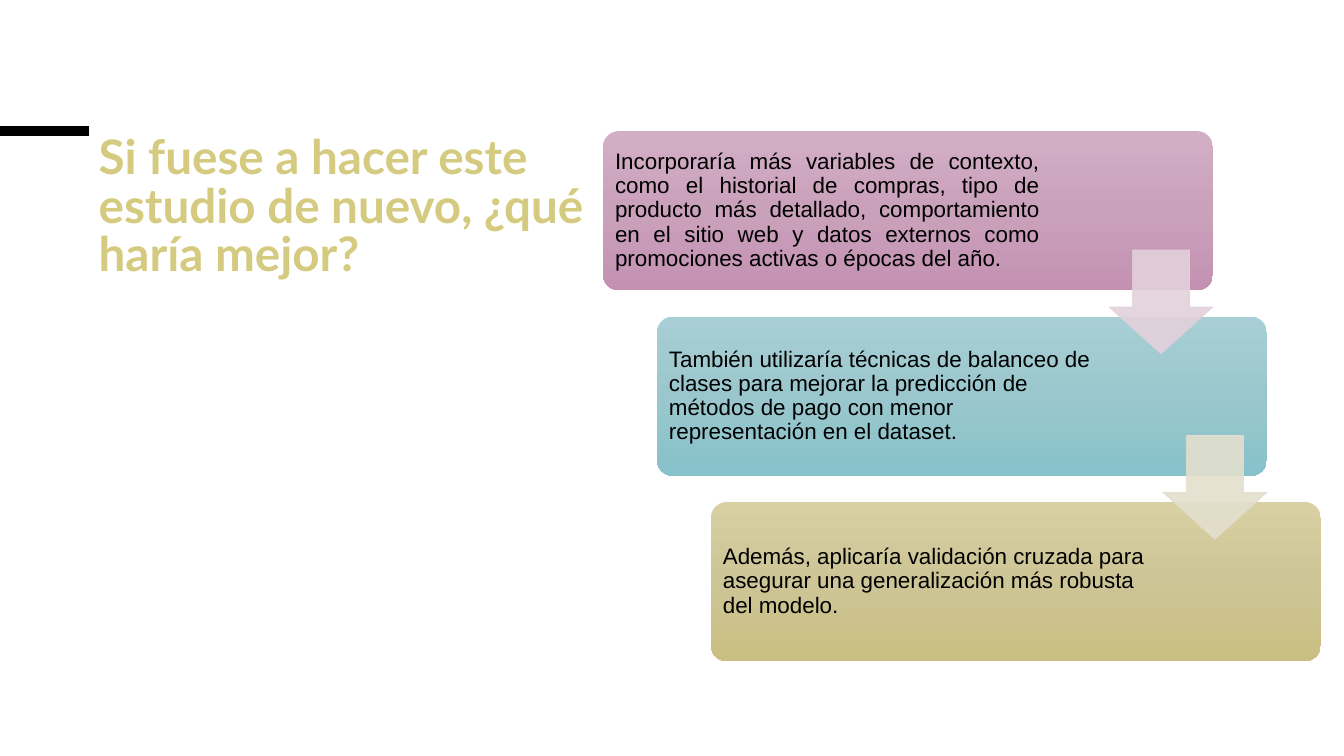
from copy import deepcopy

from lxml.etree import SubElement
from pptx import Presentation
from pptx.dml.color import RGBColor as RGB
from pptx.enum.shapes import MSO_CONNECTOR as LINK, MSO_SHAPE as SHAPE
from pptx.enum.text import MSO_ANCHOR as ANCHOR, PP_ALIGN as ALIGN
from pptx.oxml.ns import qn
from pptx.util import Inches, Pt

TITLE = "Si fuese a hacer este estudio de nuevo, ¿qué haría mejor?"
STEPS = [
    ("Incorporaría más variables de contexto, como el historial de compras, tipo de "
     "producto más detallado, comportamiento en el sitio web y datos externos como "
     "promociones activas o épocas del año.",
     ("D2AEC5", "CAA1BB", "C491B2"), ALIGN.JUSTIFY, 4.35),
    ("También utilizaría técnicas de balanceo de clases para mejorar la predicción de "
     "métodos de pago con menor representación en el dataset.",
     ("A7CFD5", "9AC7CD", "87C1C9"), ALIGN.LEFT, 4.4),
    ("Además, aplicaría validación cruzada para asegurar una generalización más "
     "robusta del modelo.",
     ("D8CFA2", "CDC596", "CABF82"), ALIGN.LEFT, 4.4),
]
ARROWS = ["E2D1DC", "E3DFCE"]


def rgb(code):
    """Turn a hex string into a colour."""
    return RGB.from_string(code)


def place(*box):
    """Turn a box in inches into lengths."""
    return [Inches(n) for n in box]


def write(slide, box, text, font, size, color, gap, inset=None):
    """Add a wrapped text box and return its frame."""
    frame = slide.shapes.add_textbox(*place(*box)).text_frame
    frame.word_wrap = True
    if inset is not None:
        frame.margin_left = frame.margin_right = Inches(inset)
        frame.margin_top = frame.margin_bottom = Inches(inset)
    para = frame.paragraphs[0]
    para.text = text
    para.line_spacing = gap
    para.font.name = font
    para.font.size = Pt(size)
    para.font.color.rgb = rgb(color)
    return frame


def shade(shape, colors):
    """Fill a shape from top to bottom with three evenly spaced colours."""
    fill = shape.fill
    fill.gradient()
    fill.gradient_angle = 270
    stops = shape._element.spPr.find(qn("a:gradFill")).find(qn("a:gsLst"))
    stops.insert(1, deepcopy(stops[0]))
    for i, (stop, color) in enumerate(zip(fill.gradient_stops, colors)):
        stop.position = i / 2
        stop.color.rgb = rgb(color)


def head(slide, x, y, w, h):
    """Draw the title and the bar that leads to it."""
    bar = slide.shapes.add_connector(LINK.STRAIGHT, *place(0, y, x, y))
    bar.line.color.rgb = rgb("000000")
    bar.line.width = Pt(6.75)
    SubElement(bar._element.spPr, qn("a:effectLst"))
    frame = write(slide, (x, y, w, h), TITLE, "Lato", 34, "D5CB80", 0.85)
    frame.paragraphs[0].font.bold = True


def card(slide, x, y, w, h, step):
    """Draw one step as a rounded card with its text."""
    text, colors, align, wide = step
    shape = slide.shapes.add_shape(SHAPE.ROUNDED_RECTANGLE, *place(x, y, w, h))
    shape.shadow.inherit = False
    shape.adjustments[0] = 0.1
    shape.line.fill.background()
    shade(shape, colors)
    pad = 0.05
    frame = write(slide, (x + pad, y + pad, wide, h - 2 * pad),
                  text, "Arial", 16, "000000", 0.9, 0.07)
    frame.vertical_anchor = ANCHOR.MIDDLE
    frame.paragraphs[0].alignment = align


def arrow(slide, x, y, size, color):
    """Draw a see-through arrow pointing down."""
    shape = slide.shapes.add_shape(SHAPE.DOWN_ARROW, *place(x, y, size, size))
    shape.shadow.inherit = False
    shape.adjustments[0] = 0.55
    shape.adjustments[1] = 0.45
    shape.line.width = Pt(0.5)
    for fill in (shape.fill, shape.line.fill):
        fill.solid()
        fill.fore_color.rgb = rgb(color)
    for tint in shape._element.spPr.iter(qn("a:srgbClr")):
        SubElement(tint, qn("a:alpha"), val="90000")


def stairs(slide, x, y, w, h):
    """Draw the cards stepping down across the box, then their arrows."""
    wide, high, size = 6.05, 1.58, 1.03
    last = len(STEPS) - 1
    dx, dy = (w - wide) / last, (h - high) / last
    for i, step in enumerate(STEPS):
        card(slide, x + i * dx, y + i * dy, wide, high, step)
    for i, color in enumerate(ARROWS):
        arrow(slide, x + i * dx + wide - size, y + i * dy + 1.18, size, color)


def main():
    """Build the slide and save it."""
    deck = Presentation()
    deck.slide_width, deck.slide_height = place(13.33, 7.5)
    slide = deck.slides.add_slide(deck.slide_layouts[6])
    head(slide, 0.88, 1.3, 5.29, 2.56)
    stairs(slide, 5.98, 1.3, 7.12, 5.26)
    deck.save("out.pptx")


if __name__ == "__main__":
    main()
